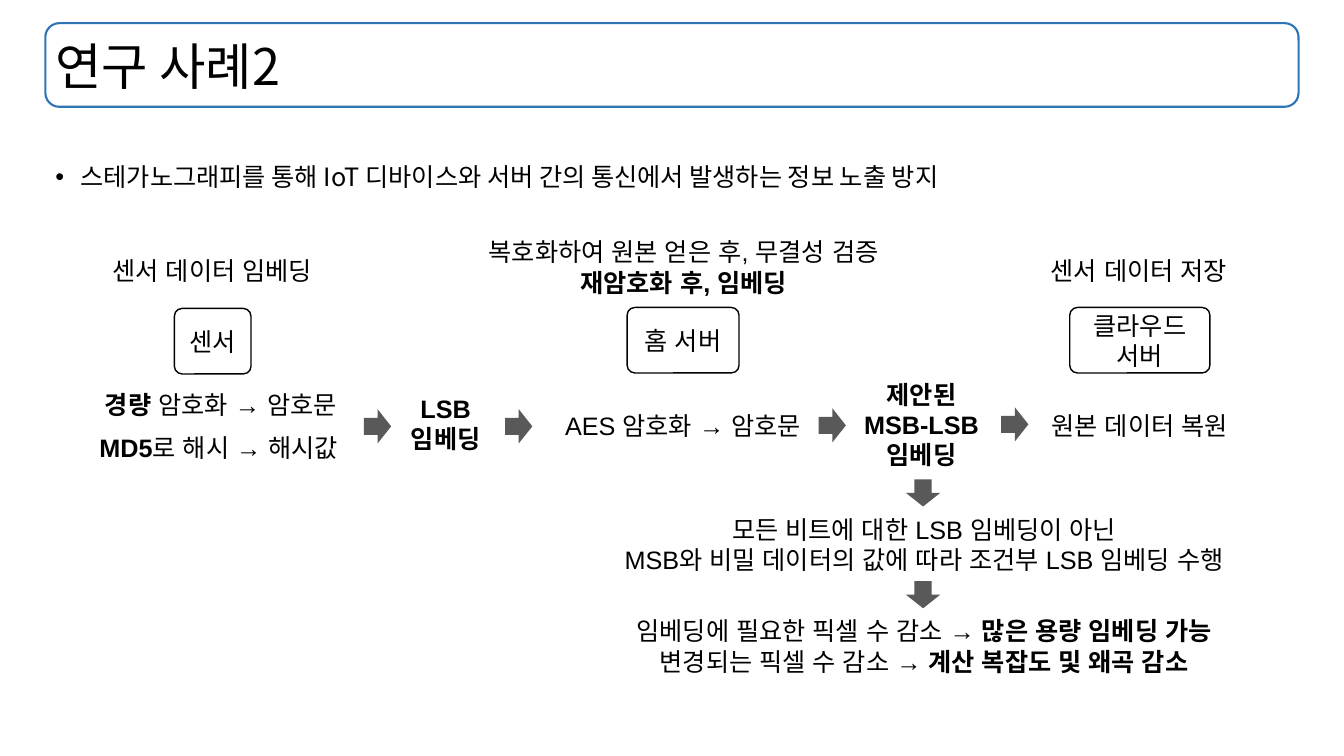
from lxml import etree
from pptx import Presentation
from pptx.dml.color import RGBColor
from pptx.enum import shapes, text
from pptx.oxml.ns import qn
from pptx.util import Inches, Pt

COLORS = {"ink": "000000", "frame": "2E75B6", "arrow": "595959"}
SANS, KOREAN = "Arial", "Noto Sans CJK KR"

# Content: each paragraph is a list of runs, and a run starting with * is bold
TITLE = "연구 사례2"
SUMMARY = "스테가노그래피를 통해 IoT 디바이스와 서버 간의 통신에서 발생하는 정보 노출 방지"
HEADER_AREA = (0.45, 0.23, 12.43, 0.83)
SUMMARY_AREA = (0.45, 1.4, 12.43, 5.39)

# Devices: left, top, width, name
DEVICES = [
    (1.73, 3.06, 0.76, [["센서"]]),
    (6.22, 3.05, 1.11, [["홈 서버"]]),
    (10.61, 3.05, 1.39, [["클라우드"], ["서버"]]),
]
# Notes: left, top, width, paragraphs
NOTES = [
    (0.63, 2.48, 2.95, [["센서 데이터 임베딩"]]),
    (4.57, 2.3, 4.42, [["복호화하여 원본 얻은 후, 무결성 검증"], ["*재암호화 후, 임베딩"]]),
    (9.82, 2.48, 2.95, [["센서 데이터 저장"]]),
    (0.76, 3.81, 2.86, [["*경량", " 암호화 → 암호문"]]),
    (0.79, 4.24, 2.76, [["*MD5", "로 해시 → 해시값"]]),
    (3.81, 3.85, 1.22, [["*LSB"], ["*임베딩"]]),
    (5.21, 4.02, 3.13, [["AES 암호화 → 암호문"]]),
    (8.34, 3.71, 1.6, [["*제안된"], ["*MSB-LSB"], ["*임베딩"]]),
    (9.74, 4.02, 3.13, [["원본 데이터 복원"]]),
    (5.44, 5.05, 7.45, [["모든 비트에 대한 LSB 임베딩이 아닌"],
                        ["MSB와 비밀 데이터의 값에 따라 조건부 LSB 임베딩 수행"]]),
    (5.44, 6.06, 7.45, [["임베딩에 필요한 픽셀 수 감소 → ", "*많은 용량 임베딩 가능"],
                        ["변경되는 픽셀 수 감소 → ", "*계산 복잡도 및 왜곡 감소"]]),
]
# Arrows: left, top, rotation
ARROWS = [(3.61, 4.06, 0), (5.01, 4.06, 0), (8.12, 4.05, 0), (9.93, 4.04, 0),
          (9.02, 4.72, 90), (9.02, 5.73, 90)]
DEVICE_HEIGHT, LINE_HEIGHT, PADDING = 0.65, 0.3, 0.1
ARROW_SIZE = (0.27, 0.34)


def color(name):
    return RGBColor.from_string(COLORS[name])


def write(frame, paragraphs, size=18, font=SANS, align=text.PP_ALIGN.CENTER,
          anchor=text.MSO_ANCHOR.TOP, bullet=False, spacing=None):
    frame.word_wrap = True
    frame.vertical_anchor = anchor
    for index, runs in enumerate(paragraphs):
        para = frame.paragraphs[0] if index == 0 else frame.add_paragraph()
        if bullet:
            props = para._p.get_or_add_pPr()
            props.set("marL", str(Inches(0.25)))
            props.set("indent", str(Inches(-0.25)))
            etree.SubElement(props, qn("a:buFont")).set("typeface", SANS)
            etree.SubElement(props, qn("a:buChar")).set("char", "•")
        para.alignment = align
        if spacing:
            para.line_spacing = spacing
        for words in runs:
            run = para.add_run()
            run.text = words.removeprefix("*")
            run.font.bold = words.startswith("*")
            run.font.size = Pt(size)
            run.font.name = font
            run.font.color.rgb = color("ink")
            etree.SubElement(run.font._element, qn("a:ea")).set("typeface", font)


def add_preset(slide, kind, area, fill=None, line=None, weight=1):
    shape = slide.shapes.add_shape(kind, *map(Inches, area))
    shape.shadow.inherit = False
    if fill:
        shape.fill.solid()
        shape.fill.fore_color.rgb = color(fill)
    else:
        shape.fill.background()
    if line:
        shape.line.color.rgb = color(line)
        shape.line.width = Pt(weight)
    else:
        shape.line.fill.background()
    return shape


def main():
    deck = Presentation()
    deck.slide_width, deck.slide_height = Inches(13.33), Inches(7.5)
    slide = deck.slides.add_slide(deck.slide_layouts[5])
    kinds = shapes.MSO_SHAPE

    # Title in its rounded frame
    add_preset(slide, kinds.ROUNDED_RECTANGLE, HEADER_AREA, line="frame", weight=1.5)
    title = slide.shapes.title
    title.left, title.top, title.width, title.height = map(Inches, HEADER_AREA)
    write(title.text_frame, [[TITLE]], size=36, font=KOREAN,
          align=text.PP_ALIGN.LEFT, anchor=text.MSO_ANCHOR.MIDDLE)

    # Summary bullet
    summary = slide.shapes.add_textbox(*map(Inches, SUMMARY_AREA))
    write(summary.text_frame, [[SUMMARY]], font=KOREAN, align=text.PP_ALIGN.LEFT,
          bullet=True, spacing=1.5)

    # Devices
    for left, top, width, name in DEVICES:
        device = add_preset(slide, kinds.ROUNDED_RECTANGLE,
                            (left, top, width, DEVICE_HEIGHT), line="ink")
        device.adjustments[0] = 0.117
        write(device.text_frame, name, anchor=text.MSO_ANCHOR.MIDDLE)

    # Notes, as tall as their lines
    for left, top, width, paragraphs in NOTES:
        height = PADDING + LINE_HEIGHT * len(paragraphs)
        note = slide.shapes.add_textbox(*map(Inches, (left, top, width, height)))
        write(note.text_frame, paragraphs)
        note.text_frame.auto_size = text.MSO_AUTO_SIZE.SHAPE_TO_FIT_TEXT

    # Flow arrows
    for left, top, rotation in ARROWS:
        arrow = add_preset(slide, kinds.RIGHT_ARROW, (left, top, *ARROW_SIZE), fill="arrow")
        arrow.rotation = rotation

    deck.save("out.pptx")


if __name__ == "__main__":
    main()
